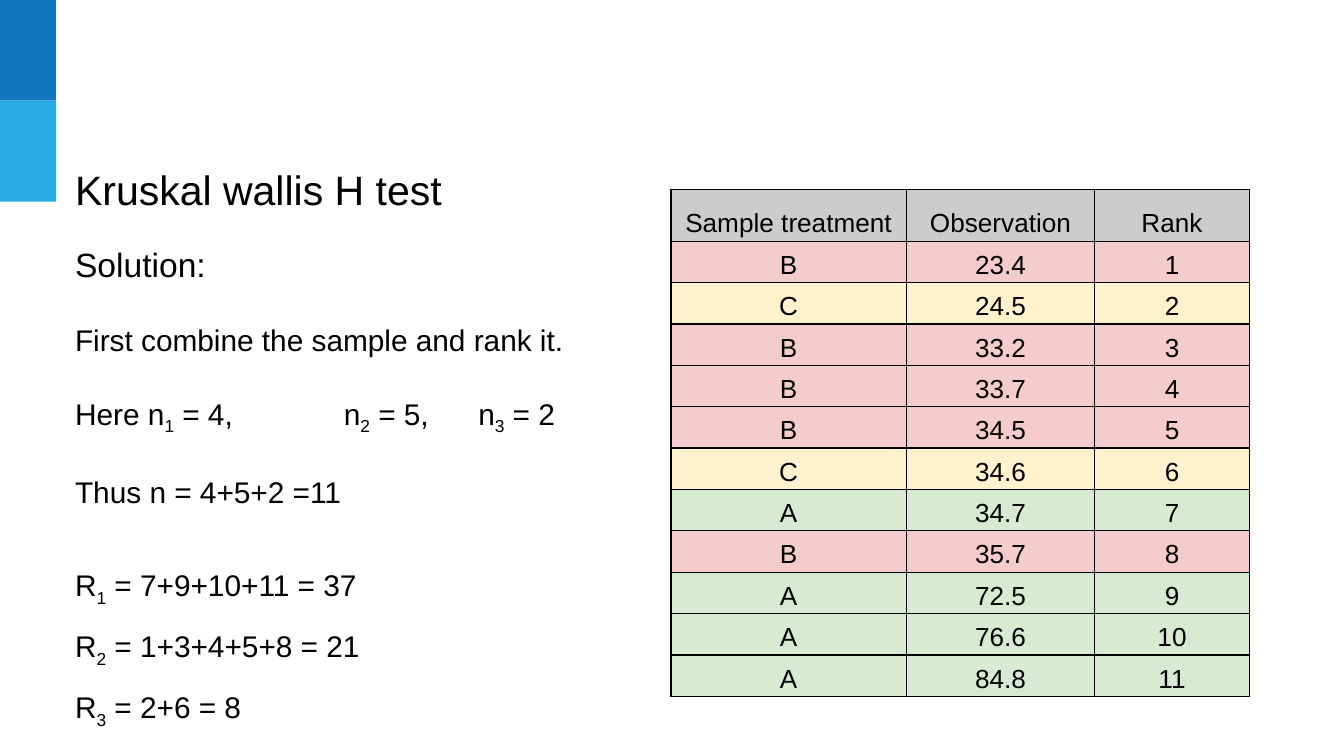
from lxml import etree
from pptx import Presentation
from pptx.dml.color import RGBColor
from pptx.enum.shapes import MSO_SHAPE
from pptx.enum.text import MSO_ANCHOR, PP_ALIGN
from pptx.oxml.ns import qn
from pptx.util import Cm, Pt

RECTANGLE = MSO_SHAPE.RECTANGLE
TOP, BOTTOM = MSO_ANCHOR.TOP, MSO_ANCHOR.BOTTOM
LEFT, CENTER = PP_ALIGN.LEFT, PP_ALIGN.CENTER

BLACK = RGBColor(0x00, 0x00, 0x00)
DARK_BLUE = RGBColor(0x0F, 0x75, 0xBD)
LIGHT_BLUE = RGBColor(0x25, 0xAA, 0xE2)
HEADER_GREY = RGBColor(0xCC, 0xCC, 0xCC)
TREATMENT_COLORS = {
    "A": RGBColor(0xD9, 0xEA, 0xD3),
    "B": RGBColor(0xF4, 0xCC, 0xCC),
    "C": RGBColor(0xFF, 0xF2, 0xCC),
}
FONT = "Arial"

HEADERS = ("Sample treatment", "Observation", "Rank")
OBSERVATIONS = (
    ("B", 23.4), ("C", 24.5), ("B", 33.2), ("B", 33.7), ("B", 34.5), ("C", 34.6),
    ("A", 34.7), ("B", 35.7), ("A", 72.5), ("A", 76.6), ("A", 84.8),
)
COLUMN_WIDTHS = (4.45, 3.56, 2.92)
RANK_SUMS = ("R_1 = 7+9+10+11 = 37", "R_2 = 1+3+4+5+8 = 21", "R_3 = 2+6 = 8")


def style_font(para, size):
    """Give a paragraph the slide's typeface in black at the given size."""
    para.font.name = FONT
    para.font.size = Pt(size)
    para.font.color.rgb = BLACK


def add_spans(para, text):
    """Add text in which an underscore makes the next character a subscript."""
    plain, *marked = text.split("_")
    para.add_run().text = plain
    for part in marked:
        subscript = para.add_run()
        subscript.text = part[0]
        subscript.font._element.set("baseline", "-25000")
        para.add_run().text = part[1:]


def add_tab_stops(para, positions):
    """Set left tab stops at the given distances in centimetres."""
    tabs = etree.SubElement(para._p.get_or_add_pPr(), qn("a:tabLst"))
    for position in positions:
        etree.SubElement(tabs, qn("a:tab"), pos=str(Cm(position)), algn="l")


def add_text_frame(page, left, top, width, height):
    """Add a wrapping text box and return its text frame."""
    frame = page.shapes.add_textbox(Cm(left), Cm(top), Cm(width), Cm(height)).text_frame
    frame.word_wrap = True
    frame.vertical_anchor = TOP
    frame.margin_left = frame.margin_right = Cm(0.25)
    frame.margin_top = frame.margin_bottom = Cm(0.25)
    return frame


def add_side_bar(page, left, top, width, height):
    """Stack two blue blocks of equal height in the given box."""
    block_height = height / 2
    for index, color in enumerate((DARK_BLUE, LIGHT_BLUE)):
        block = page.shapes.add_shape(
            RECTANGLE, Cm(left), Cm(top + index * block_height), Cm(width), Cm(block_height))
        block.shadow.inherit = False
        block.fill.solid()
        block.fill.fore_color.rgb = color
        block.line.fill.background()


def add_title(page, left, top, width, height):
    """Write the slide title in the given box."""
    para = add_text_frame(page, left, top, width, height).paragraphs[0]
    para.alignment = LEFT
    para.line_spacing = 1.15
    para.space_after = Pt(16)
    add_spans(para, "Kruskal wallis H test")
    style_font(para, 22)


def add_solution(page, left, top, width, height):
    """Write the worked solution in the given box."""
    frame = add_text_frame(page, left, top, width, height)
    heading = frame.paragraphs[0]
    add_spans(heading, "Solution:")
    style_font(heading, 18)

    steps = (
        ("First combine the sample and rank it.",),
        ("Here n_1 = 4,\tn_2 = 5,\tn_3 = 2",),
        ("Thus n = 4+5+2 =11",),
        RANK_SUMS,
    )
    for lines in steps:
        para = frame.add_paragraph()
        para.space_before = Pt(20)
        if lines is RANK_SUMS:
            para.line_spacing = 1.5
            para.space_after = Pt(20)
        if "\t" in lines[0]:
            add_tab_stops(para, (5.08, 7.62))
        style_font(para, 16)
        for index, line in enumerate(lines):
            if index:
                para.add_line_break()
            add_spans(para, line)


def add_borders(cell):
    """Draw a thin black line on all four sides of a cell."""
    properties = cell._tc.get_or_add_tcPr()
    for side in ("lnL", "lnR", "lnT", "lnB"):
        line = etree.SubElement(properties, qn(f"a:{side}"), w=str(Pt(0.75)))
        fill = etree.SubElement(line, qn("a:solidFill"))
        etree.SubElement(fill, qn("a:srgbClr"), val=str(BLACK))


def fill_cell(cell, text, color):
    """Write centred text in a bordered cell of the given colour."""
    add_borders(cell)
    cell.fill.solid()
    cell.fill.fore_color.rgb = color
    cell.vertical_anchor = BOTTOM
    cell.margin_left = cell.margin_right = Cm(0.08)
    cell.margin_top = cell.margin_bottom = Cm(0.05)
    para = cell.text_frame.paragraphs[0]
    para.alignment = CENTER
    para.line_spacing = 1.15
    add_spans(para, text)
    style_font(para, 14)


def add_rank_table(page, left, top, width, height):
    """Place the ranked observations, coloured by treatment, in the given box."""
    rows = [(HEADERS, HEADER_GREY)]
    for rank, (treatment, value) in enumerate(OBSERVATIONS, 1):
        rows.append(((treatment, str(value), str(rank)), TREATMENT_COLORS[treatment]))

    table = page.shapes.add_table(
        len(rows), len(HEADERS), Cm(left), Cm(top), Cm(width), Cm(height)).table
    for column, column_width in zip(table.columns, COLUMN_WIDTHS):
        column.width = Cm(column_width)
    header_height = 0.98
    row_height = (height - header_height) / len(OBSERVATIONS)
    for index, (texts, color) in enumerate(rows):
        table.rows[index].height = Cm(row_height if index else header_height)
        for cell, text in zip(table.rows[index].cells, texts):
            fill_cell(cell, text, color)


def main():
    """Build the slide and save the deck."""
    deck = Presentation()
    deck.slide_width, deck.slide_height = Cm(25.4), Cm(14.29)
    page = deck.slides.add_slide(deck.slide_layouts[6])
    add_side_bar(page, 0, 0, 1.06, 3.81)
    add_solution(page, 1.17, 4.37, 10.5, 9.14)
    add_title(page, 1.17, 2.72, 14.83, 1.09)
    add_rank_table(page, 12.68, 3.58, sum(COLUMN_WIDTHS), 9.56)
    deck.save("out.pptx")


if __name__ == "__main__":
    main()
